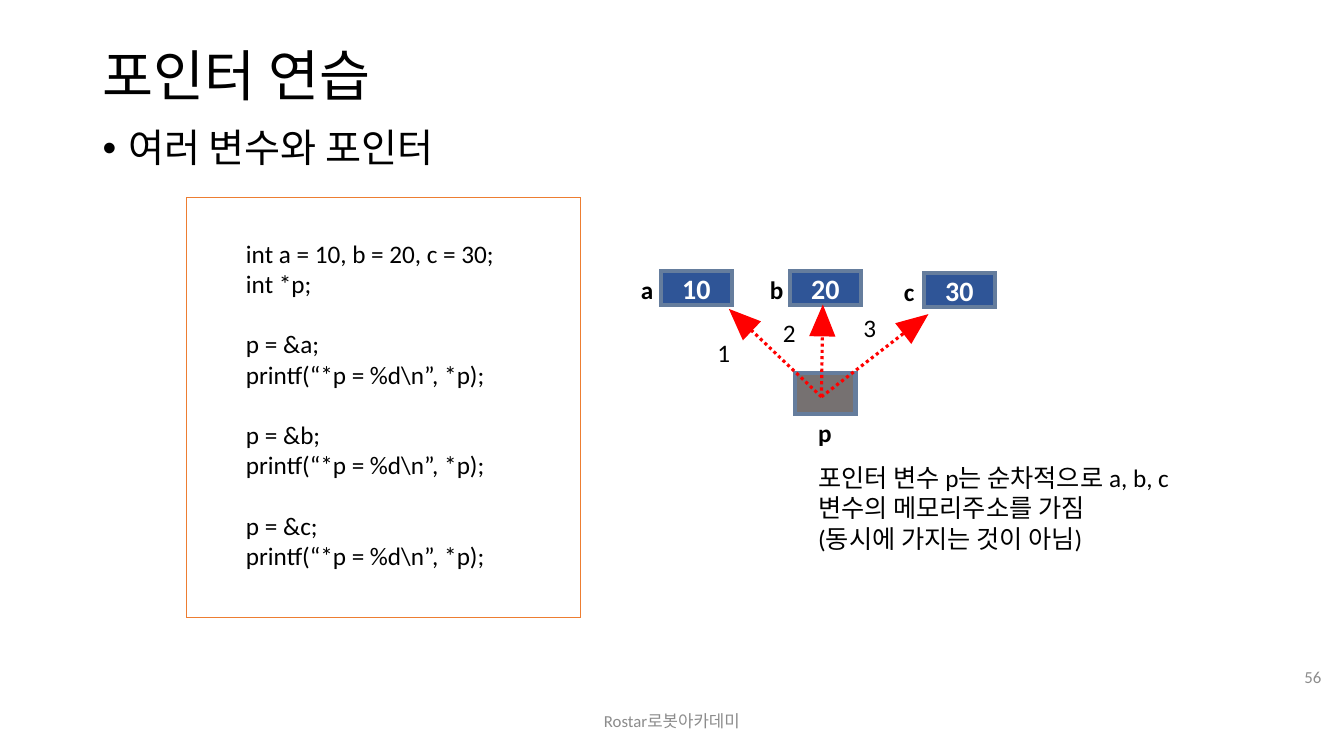
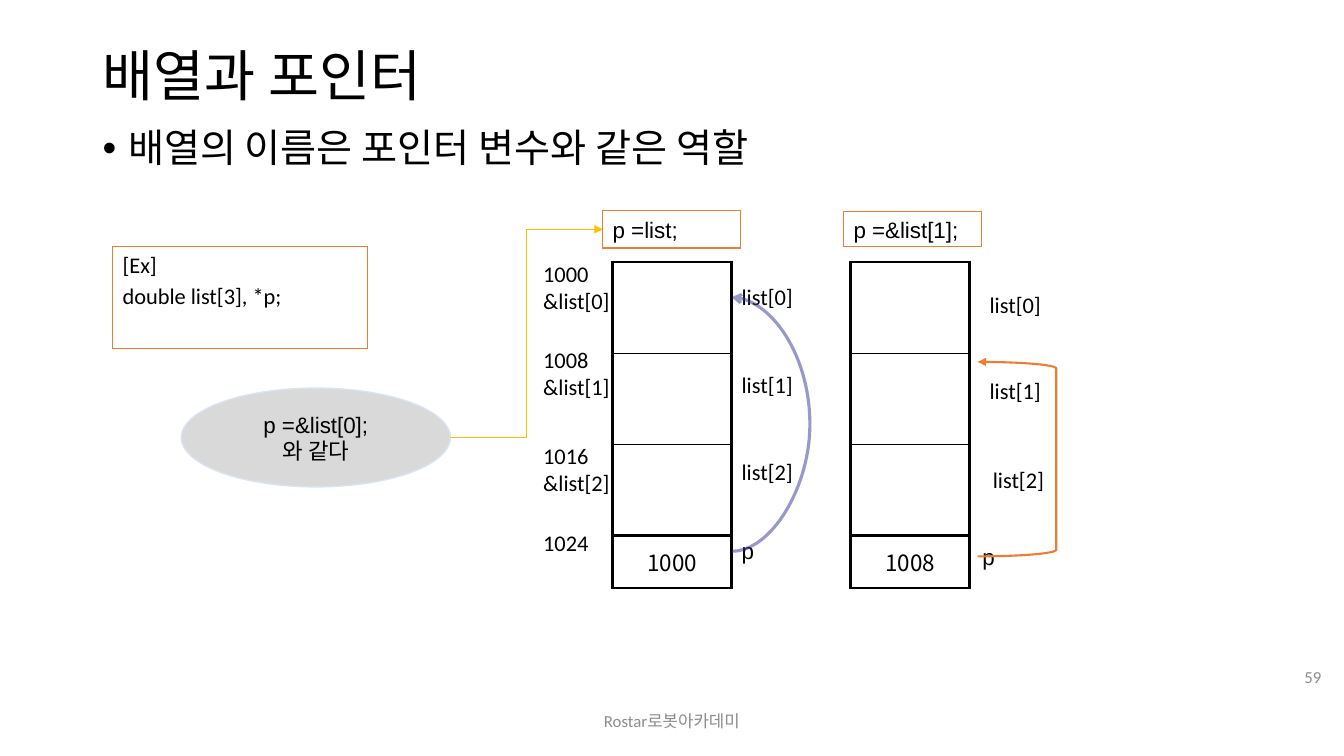
"""Build two lecture slides on pointers in C."""
from math import atan2, degrees

from lxml.etree import SubElement
from pptx import Presentation
from pptx.dml.color import RGBColor
from pptx.enum.dml import MSO_LINE
from pptx.enum.shapes import MSO_CONNECTOR, MSO_SHAPE
from pptx.enum.text import MSO_ANCHOR, PP_ALIGN
from pptx.oxml.ns import qn
from pptx.util import Cm, Pt

COLORS = {
    "black": "000000", "white": "FFFFFF", "gray": "8C8C8C", "orange": "ED7D31",
    "blue": "2F5597", "steel": "657D9D", "stone": "767171", "red": "FF0000",
    "silver": "D9D9D9", "pale": "DAE3F3", "gold": "FFC000", "indigo": "333399",
}
KOREAN = "Noto Sans CJK KR"
FORMATS = {
    "title": {"size": Pt(39.6), "name": "Calibri"},
    "bullet": {"size": Pt(28), "name": "Calibri"},
    "footer": {"size": Pt(12), "name": "Calibri"},
    "body": {"size": Pt(18), "name": "Calibri"},
    "name": {"size": Pt(18), "name": "Calibri", "bold": True},
    "value": {"size": Pt(20), "name": "Calibri", "bold": True},
    "label": {"size": Pt(16), "name": "Calibri"},
    "code": {"size": Pt(16), "name": "Arial"},
    "cell": {"size": Pt(16), "name": KOREAN},
}
FOOTER = "Rostar로봇아카데미"
SLIDE_W, SLIDE_H = 33.87, 19.05
MARGIN = 2.34
CONTENT_W = SLIDE_W - 2 * MARGIN
FOOTER_W = 11.43

SLOT_H = 2.3
POINTER_H = 1.32
MEMORY_TOP, MEMORY_W = 6.6, 3
OUTER, DIVIDER, INNER = 2.25, 2, 1
DOUBLE_SIZE = 8
FIRST_ADDRESS = 1000


def rgb(color):
    """Return the named colour."""
    return RGBColor.from_string(COLORS[color])


def write(tf, lines, fmt, color="black", align=PP_ALIGN.LEFT, gaps=None, **para):
    """Fill a text frame; gaps maps a line index to the space before it."""
    tf.word_wrap = True
    for i, line in enumerate(lines):
        p = tf.paragraphs[0] if i == 0 else tf.add_paragraph()
        for key, value in {"alignment": align, **para}.items():
            setattr(p, key, value)
        if gaps and i in gaps:
            p.space_before = Pt(gaps[i])
        r = p.add_run()
        r.text = line
        for key, value in FORMATS[fmt].items():
            setattr(r.font, key, value)
        r.font.color.rgb = rgb(color)
        SubElement(r._r.get_or_add_rPr(), qn("a:ea"), typeface=KOREAN)


def add_text(s, at, lines, fmt, anchor=MSO_ANCHOR.TOP, **kw):
    """Add a text box."""
    sp = s.shapes.add_textbox(*map(Cm, at))
    sp.text_frame.vertical_anchor = anchor
    write(sp.text_frame, lines, fmt, **kw)
    return sp


def add_box(s, kind, at, fill, line, width, lines=(), fmt="body",
            anchor=MSO_ANCHOR.TOP, **kw):
    """Add a preset shape with sharp corners and optional text."""
    sp = s.shapes.add_shape(kind, *map(Cm, at))
    sp.shadow.inherit = False
    if fill:
        sp.fill.solid()
        sp.fill.fore_color.rgb = rgb(fill)
    else:
        sp.fill.background()
    sp.line.color.rgb = rgb(line)
    sp.line.width = Pt(width)
    SubElement(sp.line._get_or_add_ln(), qn("a:miter"), lim="800000")
    sp.text_frame.vertical_anchor = anchor
    write(sp.text_frame, lines, fmt, **kw)
    return sp


def add_line(s, kind, start, end, color, width):
    """Add a connector without a shadow."""
    cx = s.shapes.add_connector(kind, *map(Cm, start + end))
    cx.line.color.rgb = rgb(color)
    cx.line.width = Pt(width)
    SubElement(cx._element.spPr, qn("a:effectLst"))
    return cx


def add_arrowhead(sp, end, kind):
    """Put an arrowhead on one end of a line."""
    SubElement(sp.line._get_or_add_ln(), qn("a:" + end), type=kind)


def add_bulge(s, bottom, top, bulge):
    """Add a translucent arrow that curves right from bottom up to top."""
    width = 0.01
    x, y = top
    cx = add_line(s, MSO_CONNECTOR.CURVE, top, (x + width, bottom[1]), "indigo", 2.25)
    spPr = cx._element.spPr
    spPr.find(qn("a:xfrm")).set("rot", "10800000")
    guides = spPr.find(qn("a:prstGeom")).get_or_add_avLst()
    ratio = round(bulge / width * 100000)
    SubElement(guides, qn("a:gd"), name="adj1", fmla=f"val {-ratio}")
    SubElement(next(spPr.iter(qn("a:srgbClr"))), qn("a:alpha"), val="50000")
    add_arrowhead(cx, "tailEnd", "arrow")


def add_border(cell, side, width):
    """Draw one border of a table cell."""
    ln = SubElement(cell._tc.get_or_add_tcPr(), qn("a:ln" + side), w=str(Pt(width)))
    SubElement(SubElement(ln, qn("a:solidFill")), qn("a:srgbClr"), val=COLORS["black"])


def add_memory(s, left, address):
    """Add a column of three array slots above the pointer slot."""
    heights = [SLOT_H] * 3 + [POINTER_H]
    edges = [OUTER, INNER, INNER, DIVIDER, OUTER]
    at = (left, MEMORY_TOP, MEMORY_W, sum(heights))
    table = s.shapes.add_table(len(heights), 1, *map(Cm, at)).table
    table.first_row = table.horz_banding = False
    for i, height in enumerate(heights):
        table.rows[i].height = Cm(height)
        cell = table.cell(i, 0)
        for side, width in zip("LRTB", (OUTER, OUTER, edges[i], edges[i + 1])):
            add_border(cell, side, width)
        cell.fill.background()
    pointer_cell = table.cell(len(heights) - 1, 0)
    pointer_cell.vertical_anchor = MSO_ANCHOR.MIDDLE
    write(pointer_cell.text_frame, [str(address)], "cell", align=PP_ALIGN.CENTER)


def add_slide(prs, title, bullet, number):
    """Add a slide with title, bullet, footer and number."""
    s = prs.slides.add_slide(prs.slide_layouts[6])
    middle = MSO_ANCHOR.MIDDLE
    add_text(s, (MARGIN, 1.02, CONTENT_W, 1.9), [title], "title", middle,
             line_spacing=0.9)
    sp = add_text(s, (MARGIN, 3.12, CONTENT_W, 14.05), [bullet], "bullet",
                  line_spacing=0.9)
    indent = Cm(0.64)
    pPr = sp.text_frame.paragraphs[0]._p.get_or_add_pPr()
    pPr.set("marL", str(indent))
    pPr.set("indent", str(-indent))
    SubElement(pPr, qn("a:buFont"), typeface="Arial")
    SubElement(pPr, qn("a:buChar"), char="•")
    add_text(s, ((SLIDE_W - FOOTER_W) / 2, 17.65, FOOTER_W, 1.02), [FOOTER], "footer",
             middle, color="gray", align=PP_ALIGN.CENTER)
    add_text(s, (31.98, 16.54, 1.57, 1.02), [number], "footer", middle,
             color="gray", align=PP_ALIGN.RIGHT)
    return s


def add_variable(s, name, value, x, y):
    """Add a variable box with its name at the left."""
    add_box(s, MSO_SHAPE.RECTANGLE, (x, y, 1.78, 0.86), "blue", "steel", 3, [value],
            "value", MSO_ANCHOR.MIDDLE, color="white", align=PP_ALIGN.CENTER)
    add_text(s, (x - 0.76, y - 0.05, 2.06, 1.02), [name], "name")


def add_pointer(s, start, tip):
    """Add a dotted line to a triangle centred on tip and turned along the line."""
    cx = add_line(s, MSO_CONNECTOR.STRAIGHT, start, tip, "red", 2.25)
    cx.line.dash_style = MSO_LINE.ROUND_DOT
    (x0, y0), (x, y) = start, tip
    w, h = 0.61, 0.74
    sp = add_box(s, MSO_SHAPE.ISOSCELES_TRIANGLE, (x - w / 2, y - h / 2, w, h),
                 "red", "red", 1)
    sp.rotation = degrees(atan2(x - x0, y0 - y))


def add_code(s, at, groups):
    """Add a framed listing with one empty line's height between groups."""
    lines, gaps = [], {}
    for group in groups:
        if lines:
            gaps[len(lines)] = 21.6
        lines += group
    sp = add_box(s, MSO_SHAPE.RECTANGLE, at, None, "orange", 0.5, lines, gaps=gaps)
    sp.text_frame.margin_left = Cm(1.5)
    sp.text_frame.margin_top = Cm(1.02)


def build_practice(prs):
    """Build the slide on one pointer and several variables."""
    s = add_slide(prs, "포인터 연습", "여러 변수와 포인터", "56")
    variables = (
        {"name": "a", "value": "10", "box": (16.66, 6.83),
         "tip": (18.67, 8.07), "step": (17.83, 8.38)},
        {"name": "b", "value": "20", "box": (19.91, 6.83),
         "tip": (20.73, 8.09), "step": (19.48, 7.87)},
        {"name": "c", "value": "30", "box": (23.29, 6.88),
         "tip": (23.07, 8.17), "step": (21.51, 7.75)},
    )
    pointer_start = (20.7, 10)
    add_box(s, MSO_SHAPE.RECTANGLE, (20.04, 9.4, 1.52, 1.04), "stone", "steel", 3)
    add_text(s, (20.37, 10.39, 2.06, 1.02), ["p"], "name")
    for step, v in enumerate(variables, 1):
        add_variable(s, v["name"], v["value"], *v["box"])
        add_pointer(s, pointer_start, v["tip"])
        add_text(s, v["step"] + (0.69, 1.02), [str(step)], "body")

    declarations = ["int a = 10, b = 20, c = 30;", "int *p;"]
    uses = [[f"p = &{v['name']};", "printf(“*p = %d\\n”, *p);"] for v in variables]
    add_code(s, (4.7, 4.98, 9.93, 10.59), [declarations, *uses])
    add_text(s, (20.37, 11.53, 10.08, 2.57),
             ["포인터 변수 p는 순차적으로 a, b, c 변수의 메모리주소를 가짐",
              "(동시에 가지는 것이 아님)"], "body")


def build_array(prs):
    """Build the slide on array names as pointers."""
    s = add_slide(prs, "배열과 포인터", "배열의 이름은 포인터 변수와 같은 역할", "59")
    rect = MSO_SHAPE.RECTANGLE
    memories = (
        {"left": 15.44, "target": 0, "statement": "p =list;",
         "statement_at": (15.19, 5.31, 3.48, 0.94),
         "slots": ((18.44, 7.01), (18.44, 9.22), (18.44, 11.43)), "p": (18.44, 13.41)},
        {"left": 21.44, "target": 1, "statement": "p =&list[1];",
         "statement_at": (21.26, 5.33, 3.48, 0.89),
         "slots": ((24.69, 7.21), (24.69, 9.37), (24.77, 11.63)), "p": (24.51, 13.56)},
    )
    label_size = (3.4, 0.94)
    for m in memories:
        add_box(s, rect, m["statement_at"], "white", "orange", 1, [m["statement"]], "code")
        add_memory(s, m["left"], FIRST_ADDRESS + DOUBLE_SIZE * m["target"])
        for i, slot in enumerate(m["slots"]):
            add_text(s, slot + label_size, [f"list[{i}]"], "label")
        add_text(s, m["p"] + label_size, ["p"], "code")

    for i, y in enumerate((6.43, 8.61, 11.02, 13.21)):
        lines = [str(FIRST_ADDRESS + DOUBLE_SIZE * i)]
        if i < 3:
            lines.append(f"&list[{i}]")
        add_text(s, (13.44, y, 2.31, 1.63), lines, "label")

    add_box(s, rect, (2.84, 6.2, 6.43, 2.59), None, "orange", 0.5,
            ["[Ex]", "double list[3], *p;"], "label", gaps={1: 3})
    memory_right = memories[0]["left"] + MEMORY_W
    add_bulge(s, (memory_right, 13.89), (memory_right, 7.49), 1.96)
    bracket = add_box(s, MSO_SHAPE.RIGHT_BRACKET, (24.64, 9.12, 1.98, 4.9), None,
                      "orange", 1.5)
    add_arrowhead(bracket, "headEnd", "triangle")

    x, y, w, h = 4.57, 9.78, 6.78, 2.49
    add_box(s, MSO_SHAPE.OVAL, (x, y, w, h), "silver", "pale", 1,
            ["p =&list[0];", "와 같다"], "code", MSO_ANCHOR.MIDDLE, align=PP_ALIGN.CENTER)
    left, top, _, height = memories[0]["statement_at"]
    bent = add_line(s, MSO_CONNECTOR.ELBOW, (x + w, y + h / 2), (left, top + height / 2),
                    "gold", 0.5)
    add_arrowhead(bent, "tailEnd", "triangle")


def main():
    """Build and save the presentation."""
    prs = Presentation()
    prs.slide_width, prs.slide_height = Cm(SLIDE_W), Cm(SLIDE_H)
    build_practice(prs)
    build_array(prs)
    prs.save("out.pptx")


if __name__ == "__main__":
    main()
